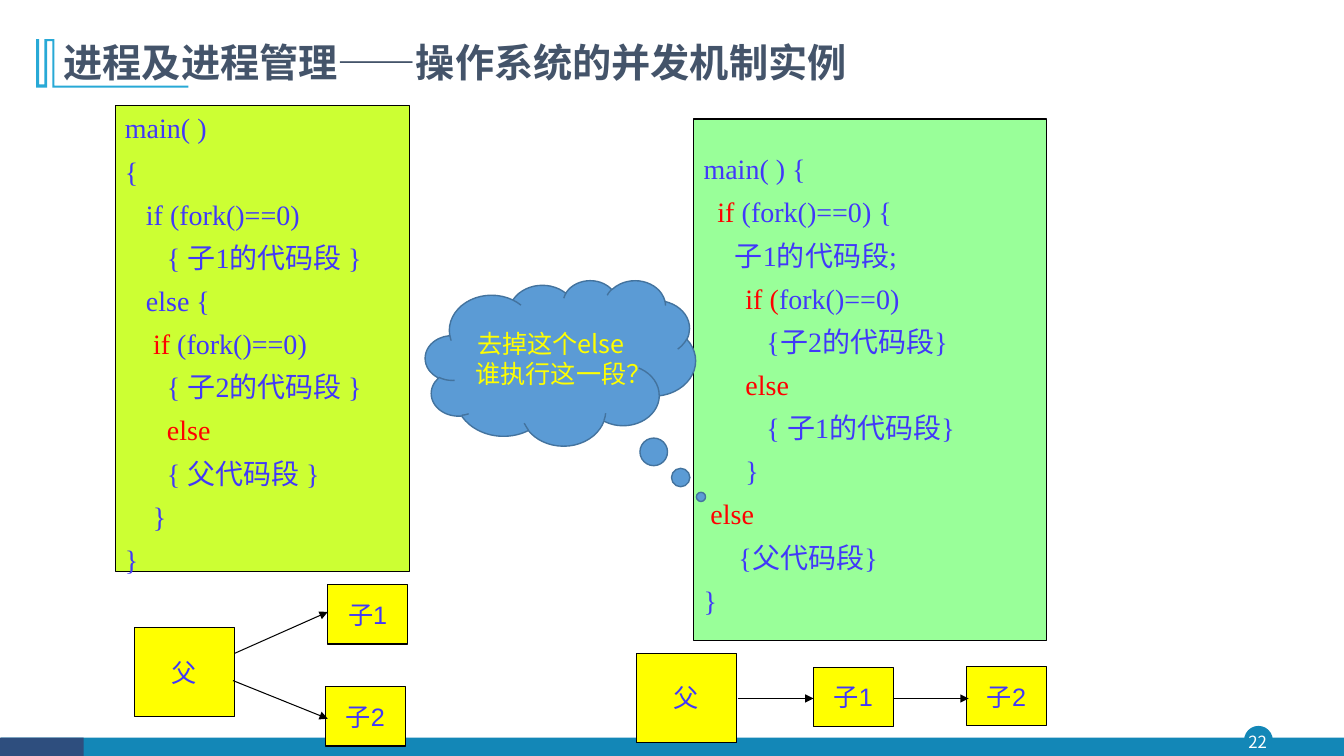
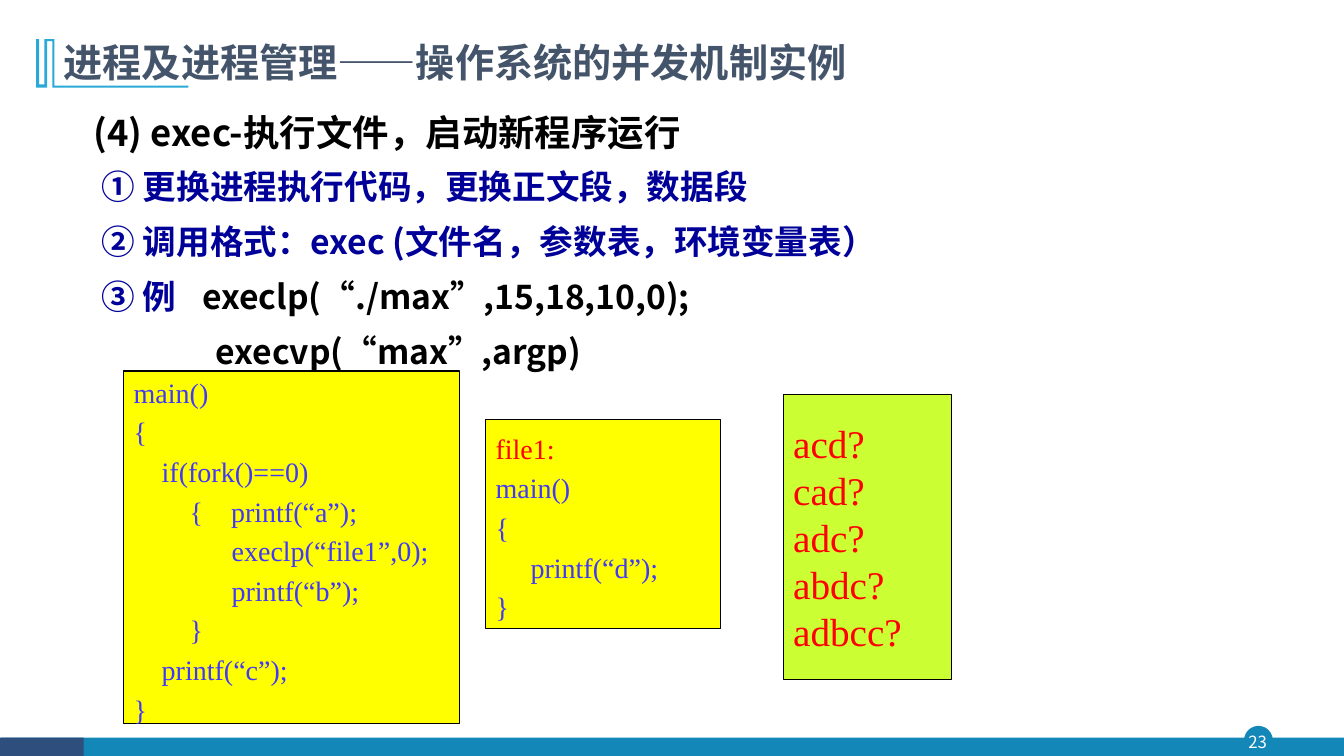
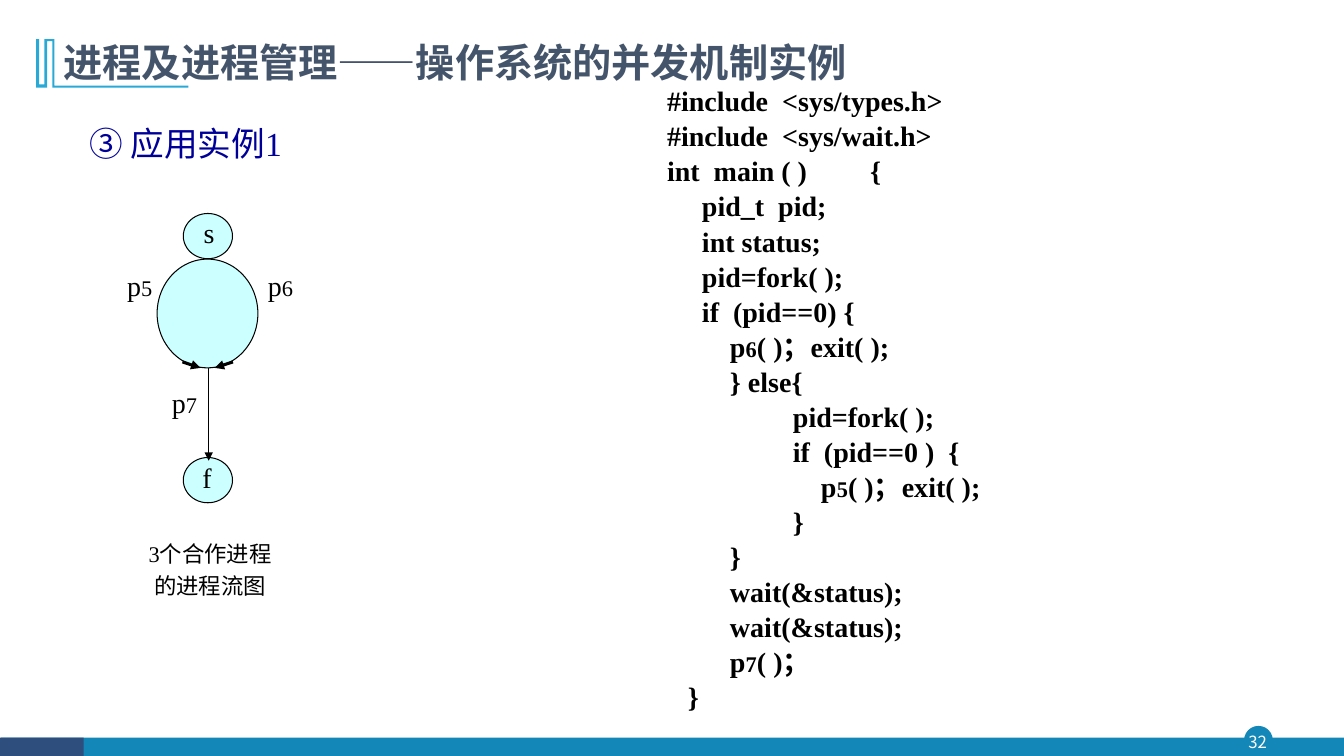
from lxml.etree import SubElement
from pptx import Presentation
from pptx.dml.color import RGBColor
from pptx.enum.shapes import MSO_CONNECTOR as Connector, MSO_SHAPE as Shape
from pptx.enum.text import MSO_ANCHOR as Anchor, MSO_AUTO_SIZE as AutoSize, PP_ALIGN as Align
from pptx.oxml.ns import qn
from pptx.util import Cm, Pt

SANS, SERIF, ARIAL = "Noto Sans CJK SC", "Times New Roman", "Arial"
BLACK, WHITE, RED, YELLOW = "000000", "FFFFFF", "FF0000", "FFFF00"
INK, NAVY, SLATE, LIME = "4138FA", "000099", "44546A", "CCFF33"
TEAL, DARK_BLUE, SKY, CYAN = "1387B7", "2E4E7E", "28A9D6", "CCFFFF"
MINT, CLOUD, CLOUD_EDGE = "99FF99", "5B9BD5", "43739E"
color = RGBColor.from_string


def draw(slide, kind, place, fill=None, line=None, width=0.75):
    """Add a preset shape, or a text box when kind is None; place is in cm."""
    box = [Cm(value) for value in place]
    if kind is None:
        return slide.shapes.add_textbox(*box)
    shape = slide.shapes.add_shape(kind, *box)
    shape.shadow.inherit = False
    shape.fill.solid()
    shape.fill.fore_color.rgb = color(fill)
    if line:
        shape.line.color.rgb = color(line)
        shape.line.width = Pt(width)
    else:
        shape.line.fill.background()
    return shape


def write(shape, lines, size, font, ink, align=Align.LEFT, spacing=None, gap=0,
          bold=False, wrap=True, anchor=Anchor.TOP):
    """Fill a shape; a line is a string or a list of (text, colour, size) runs."""
    frame = shape.text_frame
    frame.word_wrap, frame.vertical_anchor = wrap, anchor
    frame.auto_size = AutoSize.NONE
    for index, line in enumerate(lines):
        paragraph = frame.add_paragraph() if index else frame.paragraphs[0]
        paragraph.alignment = align
        if spacing:
            paragraph.line_spacing = Pt(spacing)
        paragraph.space_before = Pt(gap if index else 0)
        paragraph.font.size, paragraph.font.name = Pt(size), font
        paragraph.font.bold = bold
        paragraph.font.color.rgb = color(ink)
        for text, run_ink, run_size in [(line, None, None)] if isinstance(line, str) else line:
            run = paragraph.add_run()
            run.text = text
            if run_ink:
                run.font.color.rgb = color(run_ink)
            if run_size:
                run.font.size = Pt(run_size)


presentation = Presentation()
presentation.slide_width, presentation.slide_height = Cm(33.87), Cm(19.05)
master = presentation.slide_master
for root in (presentation.element, master.element):
    for east_asian in root.iter(qn("a:ea")):
        east_asian.set("typeface", SANS)

# Slides with title and page number
title_only, title_content = presentation.slide_layouts[5], presentation.slide_layouts[1]
slides = []
for layout, number in [(title_only, "22"), (title_content, "23"), (title_only, "32")]:
    slide = presentation.slides.add_slide(layout)
    title = slide.shapes.title
    title.left, title.top, title.width, title.height = Cm(1.35), Cm(0.86), Cm(26.64), Cm(1.42)
    write(title, ["进程及进程管理——操作系统的并发机制实例"], 28, SANS, SLATE, spacing=33, bold=True)
    page = draw(slide, None, (31.29, 18.31, 0.81, 0.79))
    frame = page.text_frame
    frame.margin_left = frame.margin_right = frame.margin_top = frame.margin_bottom = 0
    write(page, [number], 12, SANS, WHITE, Align.CENTER, anchor=Anchor.MIDDLE)
    slides.append(slide)
fork_slide, exec_slide, wait_slide = slides

# Footer band and title mark, moved to the master
outline = [(1.37, 0.99), (1.37, 2.16), (4.75, 2.16), (4.75, 2.21), (1.32, 2.21), (1.32, 1.04),
           (1.19, 1.04), (1.19, 2.21), (0.91, 2.21), (0.91, 0.99), (0.99, 0.99), (0.99, 2.13),
           (1.12, 2.13), (1.12, 0.99)]
corners = [(Cm(x), Cm(y)) for x, y in outline]
builder = fork_slide.shapes.build_freeform(*corners[0])
builder.add_line_segments(corners[1:], close=True)
mark = builder.convert_to_shape()
mark.shadow.inherit = False
mark.fill.solid()
mark.fill.fore_color.rgb = color(SKY)
mark.line.fill.background()
for shape in (draw(fork_slide, Shape.OVAL, (31.37, 18.31, 0.69, 0.69), TEAL, TEAL, 1),
              draw(fork_slide, Shape.RECTANGLE, (0.03, 18.59, 33.84, 0.48), TEAL),
              draw(fork_slide, Shape.RECTANGLE, (0, 18.59, 2.11, 0.48), DARK_BLUE),
              mark):
    master.shapes.element.append(shape.element)

# Code panels
two_children = [
    "main( )",
    "{",
    "   if (fork()==0)",
    "      { 子1的代码段 }",
    "   else {",
    [("    ", None, None), ("if ", RED, None), ("(fork()==0)", None, None)],
    "      { 子2的代码段 }",
    [("      else", RED, None)],
    "      { 父代码段 }",
    "    }",
    "}",
]
child_chain = [
    "main( ) {",
    [("  if ", RED, None), ("(fork()==0) {", None, None)],
    "     子1的代码段;",
    [("      if (", RED, None), ("fork()==0)", None, None)],
    "         {子2的代码段}",
    [("      else", RED, None)],
    "         { 子1的代码段}",
    "      }",
    [(" else", RED, None)],
    "     {父代码段}",
    "}",
]
exec_caller = [
    "main()",
    "{",
    "    if(fork()==0)",
    "        {    printf(“a”);",
    "              execlp(“file1”,0);",
    "              printf(“b”);",
    "        }",
    "    printf(“c”);",
    "}",
]
exec_target = [[("file1:", RED, None)], "main()", "{", "     printf(“d”);", "}"]
guesses = ["acd?", "cad?", "adc?", "abdc?", "adbcc?"]
for slide, place, fill, lines, size, ink, spacing in [
    (fork_slide, (2.9, 2.67, 7.42, 11.73), LIME, two_children, 20, INK, 30.8),
    (fork_slide, (17.48, 3, 8.89, 13.13), MINT, child_chain, 20, INK, 30.8),
    (exec_slide, (3.12, 9.35, 8.46, 8.89), YELLOW, exec_caller, 20, INK, 28.3),
    (exec_slide, (12.24, 10.57, 5.92, 5.28), YELLOW, exec_target, 20, INK, 28.3),
    (exec_slide, (19.74, 9.93, 4.24, 7.19), LIME, guesses, 28, RED, None),
]:
    panel = draw(slide, Shape.RECTANGLE, place, fill, BLACK)
    write(panel, lines, size, SERIF, ink, spacing=spacing, wrap=False, anchor=Anchor.MIDDLE)

# Process trees
parent_size, child_size = (2.54, 2.24), (2.01, 1.5)
for label, corner, size in [
    ("父", (3.38, 15.82), parent_size),
    ("子1", (8.26, 14.73), child_size),
    ("子2", (8.2, 17.3), child_size),
    ("父", (16.03, 16.46), parent_size),
    ("子1", (20.5, 16.81), child_size),
    ("子2", (24.36, 16.79), child_size),
]:
    node = draw(fork_slide, Shape.RECTANGLE, corner + size, YELLOW, BLACK)
    write(node, [label], 18, ARIAL, INK, Align.CENTER, wrap=False, anchor=Anchor.MIDDLE)

# Question cloud
cloud = draw(fork_slide, Shape.CLOUD_CALLOUT, (10.72, 7.06, 6.81, 4.17), CLOUD, CLOUD_EDGE, 1)
cloud.adjustments[0], cloud.adjustments[1] = 0.52, 0.81
write(cloud, ["去掉这个else", "谁执行这一段？"], 18, SANS, YELLOW, Align.CENTER,
      spacing=21.4, anchor=Anchor.MIDDLE)

# The exec call
heading = draw(exec_slide, None, (2.11, 2.03, 17.32, 1.73))
write(heading, ["(4) exec-执行文件，启动新程序运行"], 26, SANS, BLACK, spacing=49, bold=True)
body = exec_slide.placeholders[1]
body.left, body.top, body.width, body.height = Cm(2.11), Cm(3.69), Cm(22.61), Cm(5.74)
points = [
    "① 更换进程执行代码，更换正文段，数据段",
    "② 调用格式：exec (文件名，参数表，环境变量表）",
    [("③ 例\t", None, None), ("execlp(“./max”,15,18,10,0);", BLACK, None)],
    [("execvp(“max”,argp)", BLACK, None)],
]
for index, margin in enumerate([0.2, 0.2, 0.2, 3.07]):
    frame = body.text_frame
    paragraph = frame.add_paragraph() if index else frame.paragraphs[0]
    properties = paragraph._p.get_or_add_pPr()
    properties.set("marL", str(Cm(margin)))
    properties.set("indent", "0")
    SubElement(properties, qn("a:buNone"))
    tabs = SubElement(properties, qn("a:tabLst"))
    SubElement(tabs, qn("a:tab"), pos=str(Cm(3.45)), algn="l")
    paragraph.line_spacing, paragraph.space_before = Pt(39.3), Pt(0)
    paragraph.font.size, paragraph.font.name, paragraph.font.bold = Pt(24), SANS, True
    paragraph.font.color.rgb = color(NAVY)
    point = points[index]
    for text, ink, _ in [(point, None, None)] if isinstance(point, str) else point:
        run = paragraph.add_run()
        run.text = text
        if ink:
            run.font.color.rgb = color(ink)

# The wait example
example = draw(wait_slide, None, (2.01, 2.59, 7.29, 1.57))
write(example, ["③ 应用实例1"], 24, SERIF, NAVY, spacing=39.7)
listing = [
    "#include  <sys/types.h>",
    "#include  <sys/wait.h>",
    "int  main ( )         {",
    "     pid_t  pid;",
    "     int status;",
    "     pid=fork( );",
    "     if  (pid==0) {",
    [("         p", None, None), ("6", None, 16), ("( )；exit( );", None, None)],
    "         } else{",
    "                  pid=fork( );",
    "                  if  (pid==0 )  {",
    [("                      p", None, None), ("5", None, 16), ("( )；exit( );", None, None)],
    "                  }",
    "         }",
    "         wait(&status);",
    "         wait(&status);",
    [("         p", None, None), ("7", None, 16), ("( )；", None, None)],
    "   }",
]
code = draw(wait_slide, None, (16.56, 2.31, 10.82, 16.26))
write(code, listing, 20, SERIF, BLACK, spacing=15, gap=10, bold=True)

# Process flow graph
for place in [(3.96, 6.53, 2.54, 2.74), (4.62, 5.38, 1.24, 1.14), (4.62, 11.53, 1.24, 1.14)]:
    draw(wait_slide, Shape.OVAL, place, CYAN, BLACK)
for letter, digit, left, top in [("s", "", 4.65, 5.31), ("f", "", 4.6, 11.48), ("p", "5", 2.9, 6.65),
                                 ("p", "6", 6.45, 6.65), ("p", "7", 4.03, 9.6)]:
    label = draw(wait_slide, None, (left, top, 1.24, 1.5))
    runs = [(letter, None, None)] + ([(digit, None, 16)] if digit else [])
    write(label, [runs], 20, SERIF, BLACK, Align.CENTER, wrap=False)
caption = draw(wait_slide, None, (3.2, 13.36, 4.19, 1.88))
write(caption, ["3个合作进程", "的进程流图"], 16, SERIF, BLACK, Align.CENTER, spacing=23)

# Arrows
for slide, x1, y1, x2, y2, width in [
    (fork_slide, 5.92, 16.46, 8.26, 15.42, 0.75),
    (fork_slide, 5.87, 17.15, 8.26, 18.11, 0.75),
    (fork_slide, 18.59, 17.6, 20.5, 17.6, 0.75),
    (fork_slide, 22.5, 17.6, 24.41, 17.6, 0.75),
    (wait_slide, 4.6, 9.12, 5.05, 9.27, 2.25),
    (wait_slide, 5.87, 9.12, 5.41, 9.27, 2.25),
    (wait_slide, 5.26, 9.27, 5.26, 11.61, 0.75),
]:
    arrow = slide.shapes.add_connector(Connector.STRAIGHT, Cm(x1), Cm(y1), Cm(x2), Cm(y2))
    arrow.line.color.rgb = color(BLACK)
    arrow.line.width = Pt(width)
    SubElement(arrow.line._get_or_add_ln(), qn("a:tailEnd"), type="triangle")
    SubElement(arrow.element.spPr, qn("a:effectLst"))

presentation.save("out.pptx")
